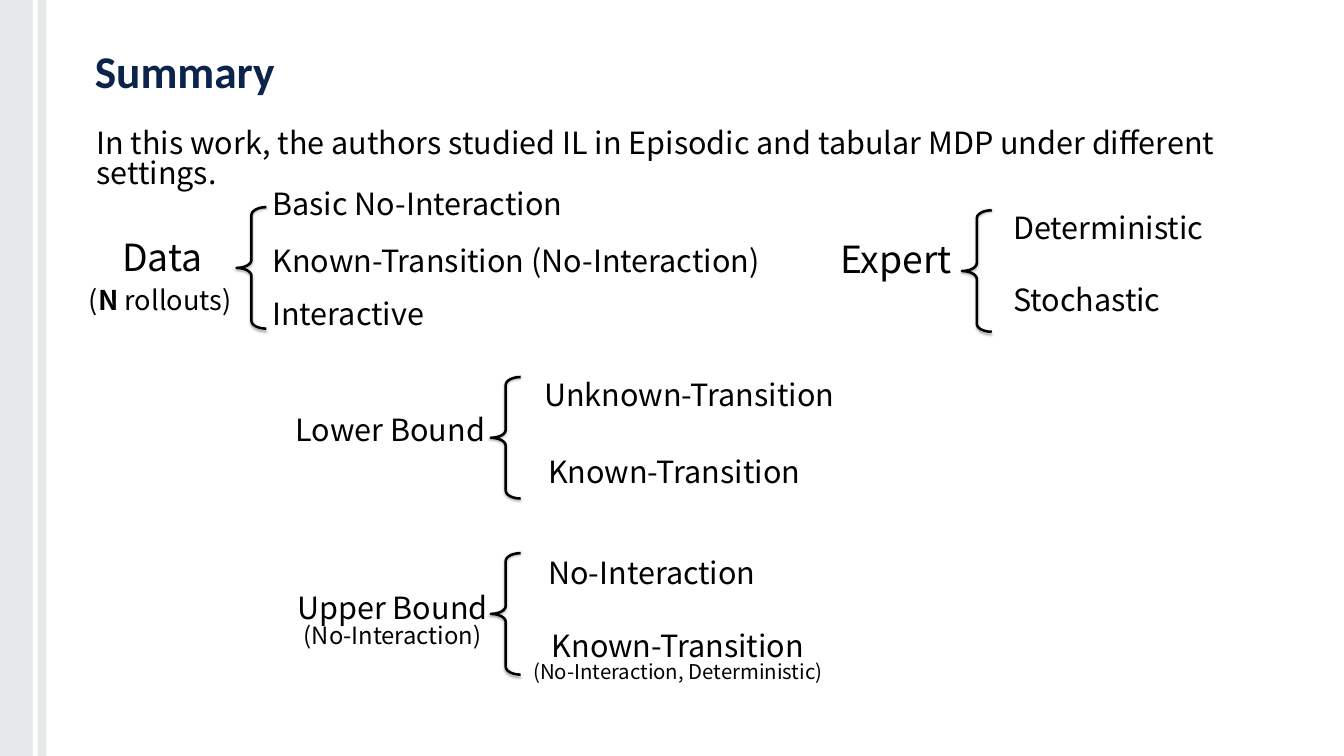
from dataclasses import dataclass

import lxml.etree
import pptx
import pptx.dml.color
import pptx.enum.shapes
import pptx.enum.text
import pptx.oxml
import pptx.oxml.ns
import pptx.util

Cm = pptx.util.Cm
Align = pptx.enum.text.PP_ALIGN
Anchor = pptx.enum.text.MSO_ANCHOR
Shapes = pptx.enum.shapes.MSO_SHAPE
qn = pptx.oxml.ns.qn


@dataclass(frozen=True)
class Theme:
    title_font: str = "Calibri"
    body_font: str = "Noto Sans CJK SC"
    navy: str = "0C234B"
    black: str = "000000"
    white: str = "FFFFFF"
    bar: str = "9EABAE"
    title: float = 53.5
    heading: float = 44
    body: float = 36
    rollouts: float = 32
    note: float = 28
    small_note: float = 24
    line_spacing: float = 0.84


THEME = Theme()


@dataclass(frozen=True)
class Run:
    text: str
    size: float = THEME.body
    bold: bool = False


@dataclass(frozen=True)
class Label:
    """A text box in centimetres; each line is a tuple of runs."""
    left: float
    top: float
    width: float
    height: float
    lines: tuple[tuple[Run, ...], ...]
    align: Align = Align.LEFT


@dataclass(frozen=True)
class Brace:
    left: float
    top: float
    width: float = 1.24
    height: float = 5.05


def item(left: float, top: float, width: float, text: str, align: Align = Align.LEFT) -> Label:
    """A one-line label in body size."""
    return Label(left, top, width, 1.8, ((Run(text),),), align)


TITLE = Label(2.84, 1.68, 50.17, 2.51, ((Run("Summary", THEME.title, True),),))

DATA_LEFT, EXPERT_LEFT, BOUND_WIDTH = 11.07, 41.86, 14.02
LABELS = (
    Label(3.76, 5.26, 49.25, 4.88, ((Run(
        "In this work, the authors studied IL in Episodic and tabular MDP under different settings."),),)),
    # Data settings
    Label(4.83, 9.91, 5, 2.13, ((Run("Data", THEME.heading),),)),
    Label(3.45, 11.86, 7.65, 1.63, ((
        Run("(", THEME.rollouts), Run("N", THEME.rollouts, True), Run(" rollouts)", THEME.rollouts)),)),
    item(DATA_LEFT, 7.8, 13.89, "Basic No-Interaction"),
    item(DATA_LEFT, 10.19, 23.6, "Known-Transition (No-Interaction)"),
    item(DATA_LEFT, 12.4, 9.73, "Interactive"),
    # Expert settings
    Label(34.67, 10.01, 5.28, 2.13, ((Run("Expert", THEME.heading),),)),
    item(EXPERT_LEFT, 8.81, 9.65, "Deterministic"),
    item(EXPERT_LEFT, 11.79, 7.34, "Stochastic"),
    # Lower bound
    item(12.04, 17.22, 8.71, "Lower Bound"),
    item(21.64, 15.75, BOUND_WIDTH, "Unknown-Transition", Align.CENTER),
    item(21.01, 18.95, BOUND_WIDTH, "Known-Transition", Align.CENTER),
    # Upper bound
    Label(11.96, 24.59, 8.71, 3, (
        (Run("Upper Bound"),), (Run("(No-Interaction)", THEME.note),)), Align.CENTER),
    item(22.53, 23.14, 10.31, "No-Interaction"),
    Label(21.16, 26.16, BOUND_WIDTH, 2.82, (
        (Run("Known-Transition"),),
        (Run("(No-Interaction, Deterministic)", THEME.small_note),)), Align.CENTER),
)

BRACES = (Brace(9.83, 8.61), Brace(39.98, 8.74), Brace(20.4, 15.67), Brace(20.4, 22.99))


def rgb(value: str) -> pptx.dml.color.RGBColor:
    return pptx.dml.color.RGBColor.from_string(value)


def add_text(slide, label: Label, *, font: str = THEME.body_font, color: str = THEME.black,
             anchor: Anchor = Anchor.TOP, inset: float = 0.25,
             spacing: float = THEME.line_spacing) -> None:
    box = slide.shapes.add_textbox(Cm(label.left), Cm(label.top), Cm(label.width), Cm(label.height))
    frame = box.text_frame
    frame.word_wrap = True
    frame.vertical_anchor = anchor
    frame.margin_left = Cm(inset)
    for index, line in enumerate(label.lines):
        paragraph = frame.add_paragraph() if index else frame.paragraphs[0]
        paragraph.alignment = label.align
        paragraph.line_spacing = spacing
        for part in line:
            run = paragraph.add_run()
            run.text = part.text
            run.font.name = font
            run.font.size = pptx.util.Pt(part.size)
            run.font.bold = part.bold
            run.font.color.rgb = rgb(color)


def add_bar(slide, left: float, width: float, height: int, color: str, opacity: int = 100) -> None:
    bar = slide.shapes.add_shape(Shapes.RECTANGLE, Cm(left), 0, Cm(width), height)
    bar.shadow.inherit = False
    bar.line.fill.background()
    bar.fill.solid()
    bar.fill.fore_color.rgb = rgb(color)
    if opacity < 100:
        tint = bar.fill._xPr.find(".//" + qn("a:srgbClr"))
        lxml.etree.SubElement(tint, qn("a:alpha"), val=str(opacity * 1000))


def add_brace(slide, brace: Brace) -> None:
    shape = slide.shapes.add_shape(
        Shapes.LEFT_BRACE, Cm(brace.left), Cm(brace.top), Cm(brace.width), Cm(brace.height))
    shape.adjustments[0] = 0.265
    shape.adjustments[1] = 0.5
    shape.fill.background()
    shape.line.color.rgb = rgb(THEME.black)
    shape.line.width = pptx.util.Pt(3)
    # Soft shadow straight below
    shape.shadow.inherit = False
    effects = shape._element.spPr.find(qn("a:effectLst"))
    shadow = lxml.etree.SubElement(
        effects, qn("a:outerShdw"), blurRad=str(pptx.util.Pt(3.1)), dist=str(pptx.util.Pt(1.8)),
        dir="5400000", rotWithShape="0")
    tint = lxml.etree.SubElement(shadow, qn("a:srgbClr"), val=THEME.black)
    lxml.etree.SubElement(tint, qn("a:alpha"), val="35000")


def main() -> None:
    presentation = pptx.Presentation()
    presentation.slide_width = Cm(55.86)
    presentation.slide_height = Cm(31.42)
    slide = presentation.slides.add_slide(presentation.slide_layouts[6])

    # Side band with its white stripe
    add_bar(slide, 0, 1.93, presentation.slide_height, THEME.bar, opacity=25)
    add_bar(slide, 1.37, 0.2, presentation.slide_height, THEME.white)

    # Title, labels and braces
    add_text(slide, TITLE, font=THEME.title_font, color=THEME.navy,
             anchor=Anchor.MIDDLE, inset=1.1, spacing=1.0)
    for label in LABELS:
        add_text(slide, label)
    for brace in BRACES:
        add_brace(slide, brace)

    presentation.save("out.pptx")


if __name__ == "__main__":
    main()
